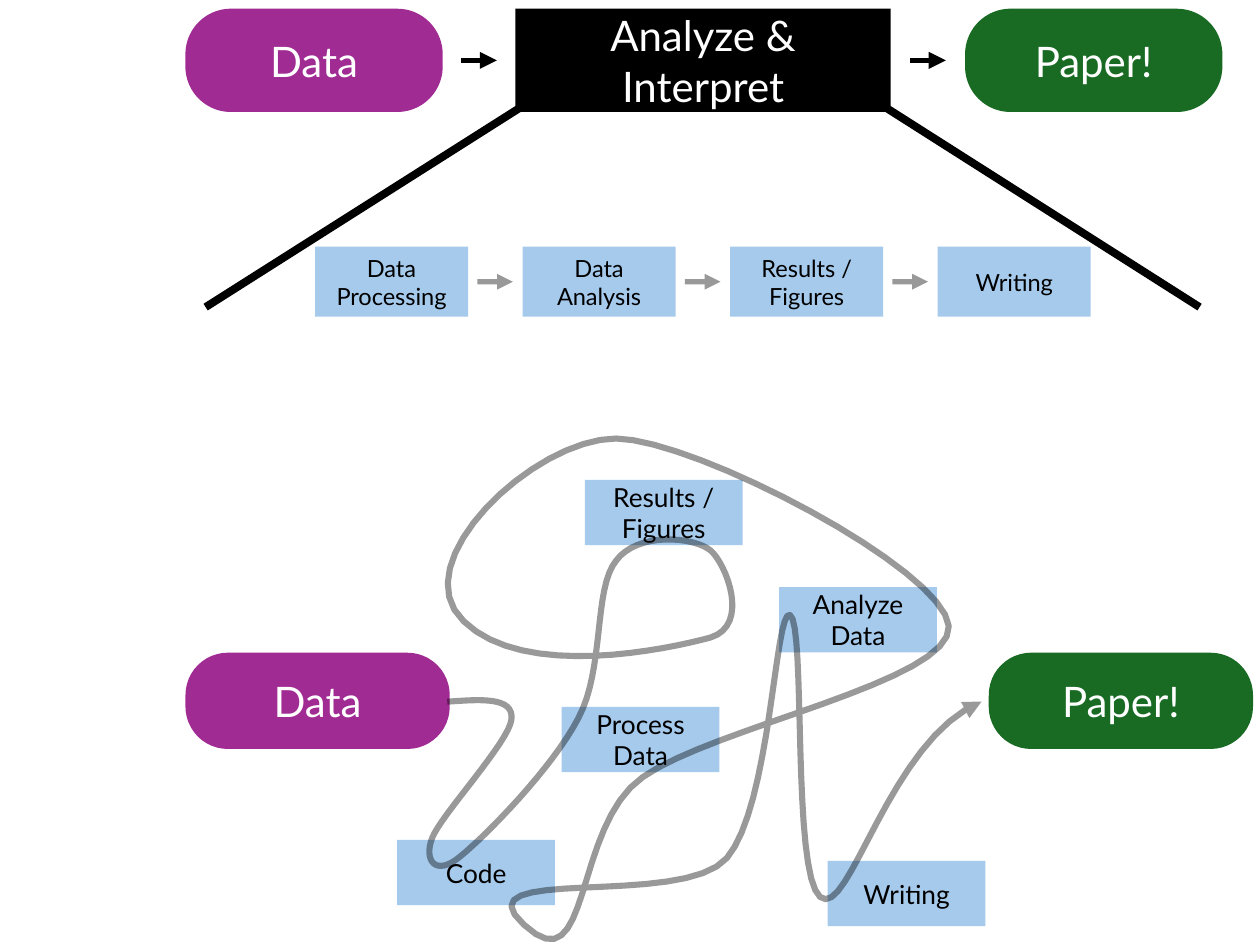
import pptx
import pptx.util
import pptx.dml.color
import pptx.enum.shapes
import pptx.enum.text
from pptx.oxml.ns import qn
from lxml import etree

Pt = pptx.util.Pt
SHAPE = pptx.enum.shapes.MSO_SHAPE
COLORS = {"data": "A02B93", "paper": "196B24", "step": "A6CAEC",
          "black": "000000", "white": "FFFFFF"}

# Winding path: a start point, then two controls and an end point per curve
WINDING = [
    (255.6, 401),
    (275, 399.6), (293.8, 398.2), (292.3, 411.1),
    (290.9, 424.1), (252, 465.8), (247, 478.8),
    (241.9, 491.8), (249.1, 501.1), (262.8, 489.6),
    (277.2, 478.1), (316.1, 438.5), (330.5, 410.4),
    (345.6, 382.3), (339.1, 336.2), (352.1, 320.4),
    (364.3, 303.8), (396.7, 306.7), (406.1, 314.6),
    (414.7, 321.8), (429.1, 357.1), (406.1, 364.3),
    (382.3, 370.8), (299.5, 388.8), (265, 355),
    (229.7, 321.8), (305.3, 250.6), (352.1, 250.6),
    (398.2, 251.3), (539.3, 325.4), (542.2, 357.8),
    (544.3, 389.5), (407.5, 415.4), (367.2, 444.2),
    (326.9, 472.3), (338.4, 564.5), (299.5, 528.5),
    (260.6, 493.2), (390.2, 519.8), (415.4, 490.3),
    (440.6, 460.8), (442.8, 347.8), (451.4, 351.4),
    (460.8, 355.7), (452.2, 499), (468.7, 512.6),
    (485.3, 526.3), (508.3, 421.9), (560.9, 401),
]


def rgb(name):
    return pptx.dml.color.RGBColor.from_string(COLORS[name])


def put_text(sp, text, size=24, color="white", margin=0):
    """Centred text, one paragraph per line."""
    tf = sp.text_frame
    tf.word_wrap = True
    tf.vertical_anchor = pptx.enum.text.MSO_ANCHOR.MIDDLE
    tf.margin_left = tf.margin_right = Pt(margin)
    tf.margin_top = tf.margin_bottom = 0
    for i, line in enumerate(text.split("\n")):
        p = tf.add_paragraph() if i else tf.paragraphs[0]
        p.alignment = pptx.enum.text.PP_ALIGN.CENTER
        r = p.add_run()
        r.text = line
        r.font.name = "Lato"
        r.font.size = Pt(size)
        r.font.color.rgb = rgb(color)


def add_box(s, text, x, y, w, h, fill, rounded=False, **fmt):
    kind = SHAPE.ROUNDED_RECTANGLE if rounded else SHAPE.RECTANGLE
    sp = s.shapes.add_shape(kind, Pt(x), Pt(y), Pt(w), Pt(h))
    if rounded:
        sp.adjustments[0] = 0.44
    sp.shadow.inherit = False
    sp.fill.solid()
    sp.fill.fore_color.rgb = rgb(fill)
    sp.line.fill.background()
    put_text(sp, text, **fmt)


def style_line(sp, width, alpha=None, arrow=False):
    sp.line.width = Pt(width)
    sp.line.color.rgb = rgb("black")
    ln = sp.line._get_or_add_ln()
    if alpha:
        clr = ln.find(".//" + qn("a:srgbClr"))
        etree.SubElement(clr, qn("a:alpha"), val=str(alpha * 1000))
    if arrow:
        etree.SubElement(ln, qn("a:tailEnd"), type="triangle")


def add_line(s, x1, y1, x2, y2, width, **style):
    cn = s.shapes.add_connector(pptx.enum.shapes.MSO_CONNECTOR.STRAIGHT,
                                Pt(x1), Pt(y1), Pt(x2), Pt(y2))
    style_line(cn, width, **style)
    etree.SubElement(cn._element.spPr, qn("a:effectLst"))


def bezier(a, b, c, d, t):
    u = 1 - t
    return tuple(Pt(u**3 * i + 3 * u * u * t * j + 3 * u * t * t * k + t**3 * m)
                 for i, j, k, m in zip(a, b, c, d))


def add_curve(s, pts, steps=16):
    x, y = pts[0]
    fb = s.shapes.build_freeform(Pt(x), Pt(y))
    for i in range(0, len(pts) - 1, 3):
        fb.add_line_segments([bezier(*pts[i:i + 4], n / steps)
                              for n in range(1, steps + 1)], close=False)
    sp = fb.convert_to_shape()
    sp.shadow.inherit = False
    sp.fill.background()
    style_line(sp, 3.5, alpha=40, arrow=True)


def add_ideal(s):
    """The tidy pipeline at the top."""
    add_box(s, "Paper!", 551.5, 5, 147, 59, "paper", rounded=True)
    add_box(s, "Data", 106, 5, 147, 59, "data", rounded=True)
    add_box(s, "Analyze & Interpret", 294.5, 5, 214.5, 59, "black", margin=12)
    for x in (263.5, 520):
        add_line(s, x, 34.5, x + 20.5, 34.5, 3.25, arrow=True)

    # Lines that open up the middle box
    for x1, x2 in ((296.5, 117.5), (507, 685.5)):
        add_line(s, x1, 62, x2, 175.5, 4.5)

    # Steps inside it
    left, pitch, width = 180, 118.6, 87.5
    steps = ["Data\nProcessing", "Data\nAnalysis", "Results /\nFigures", "Writing"]
    for i, text in enumerate(steps):
        x = left + i * pitch
        add_box(s, text, x, 141, width, 40, "step", size=13.5, color="black")
        if i < len(steps) - 1:
            x += width + 5.3
            add_line(s, x, 161, x + 20.3, 161, 3, alpha=40, arrow=True)


def add_reality(s):
    """The tangled route at the bottom."""
    add_box(s, "Paper!", 565, 373, 151, 55, "paper", rounded=True)
    add_box(s, "Data", 106, 373, 151, 55, "data", rounded=True)
    for text, x, y in (("Process\nData", 321, 404), ("Analyze\nData", 445.2, 335.5),
                       ("Results /\nFigures", 334.2, 274.2),
                       ("Writing", 473, 492), ("Code", 227, 480)):
        add_box(s, text, x, y, 90.2, 37.3, "step", size=15, color="black")
    add_curve(s, WINDING)


def main():
    prs = pptx.Presentation()
    prs.slide_width, prs.slide_height = Pt(720), Pt(540)
    s = prs.slides.add_slide(prs.slide_layouts[6])
    add_reality(s)
    add_ideal(s)
    prs.save("out.pptx")


if __name__ == "__main__":
    main()
